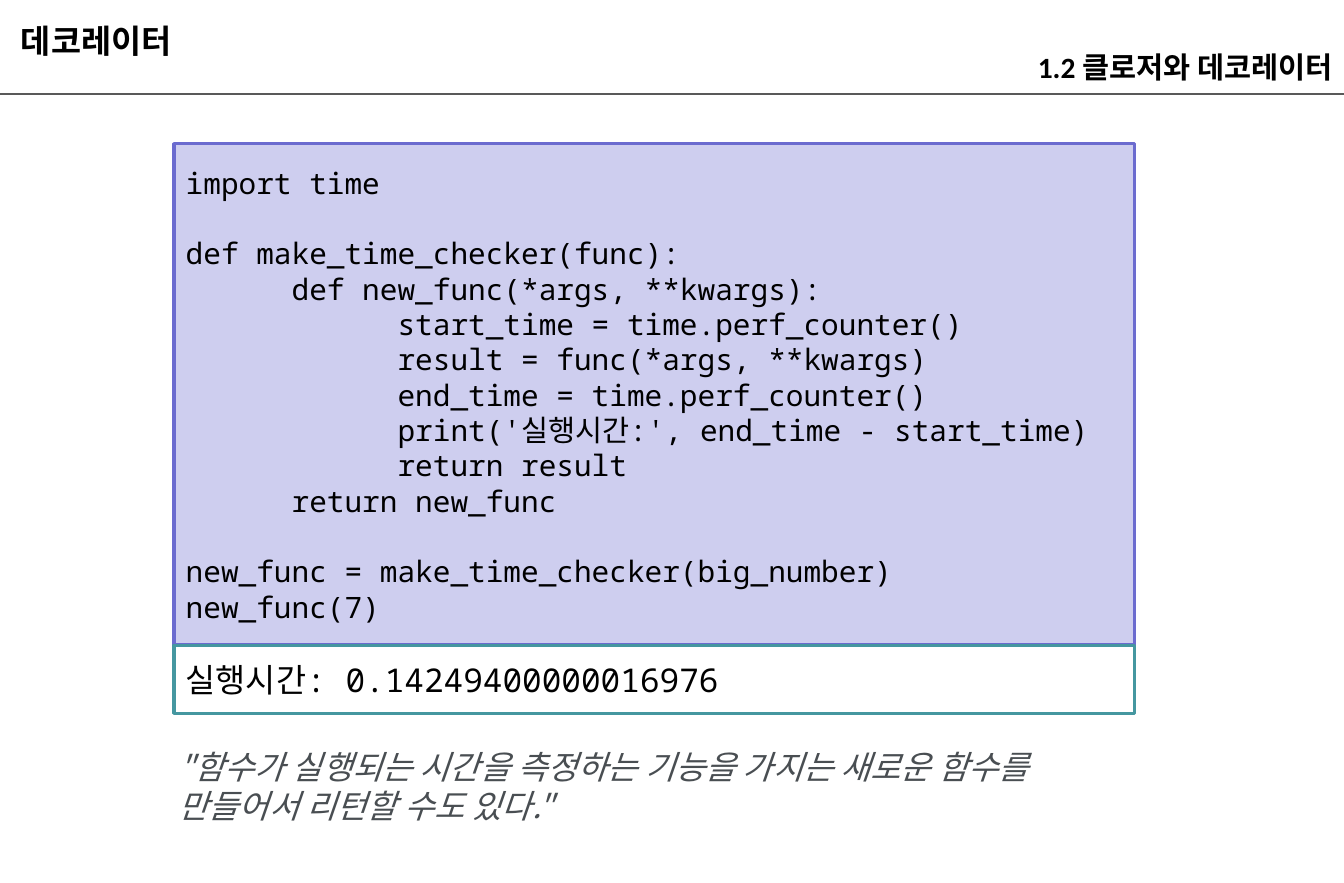
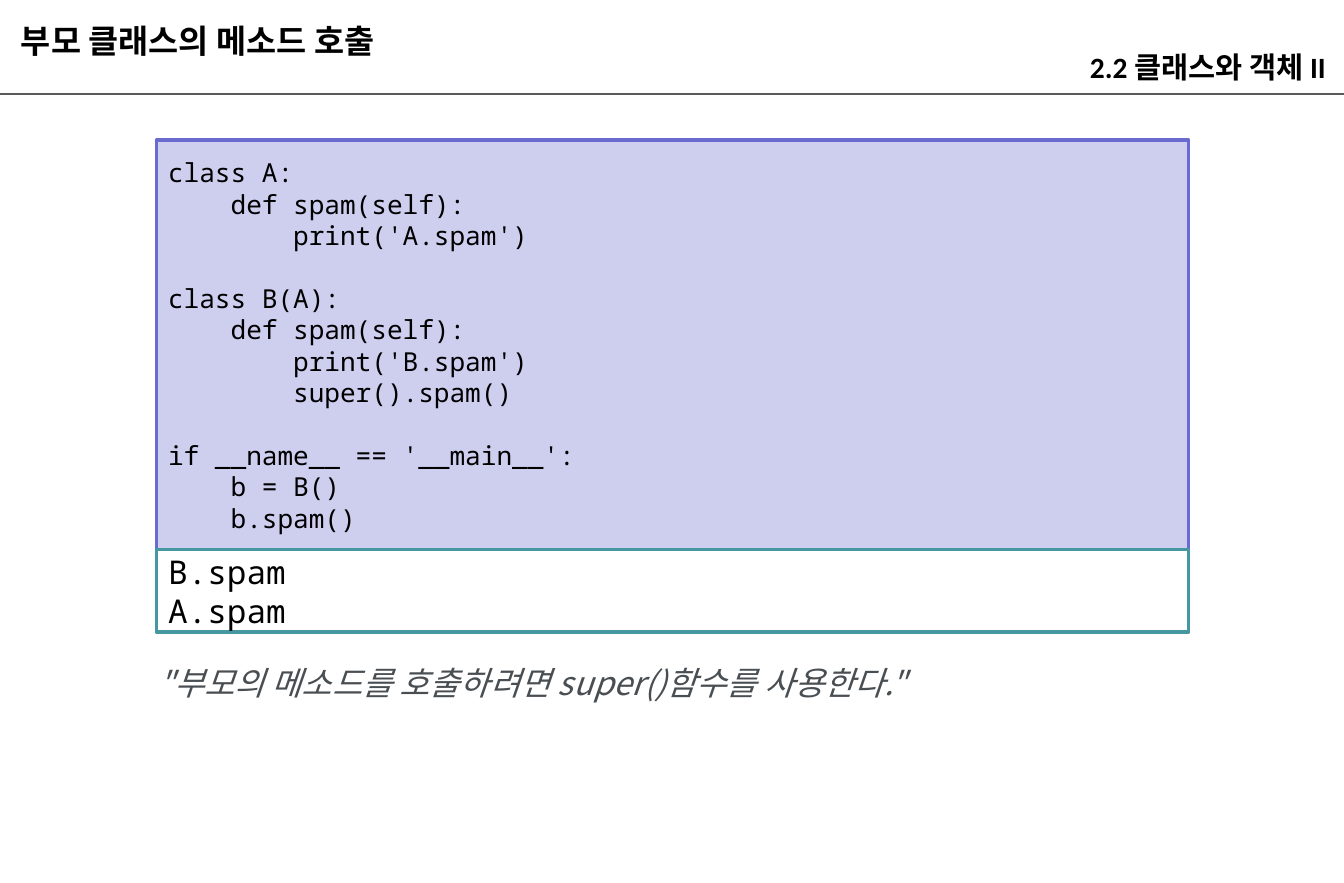
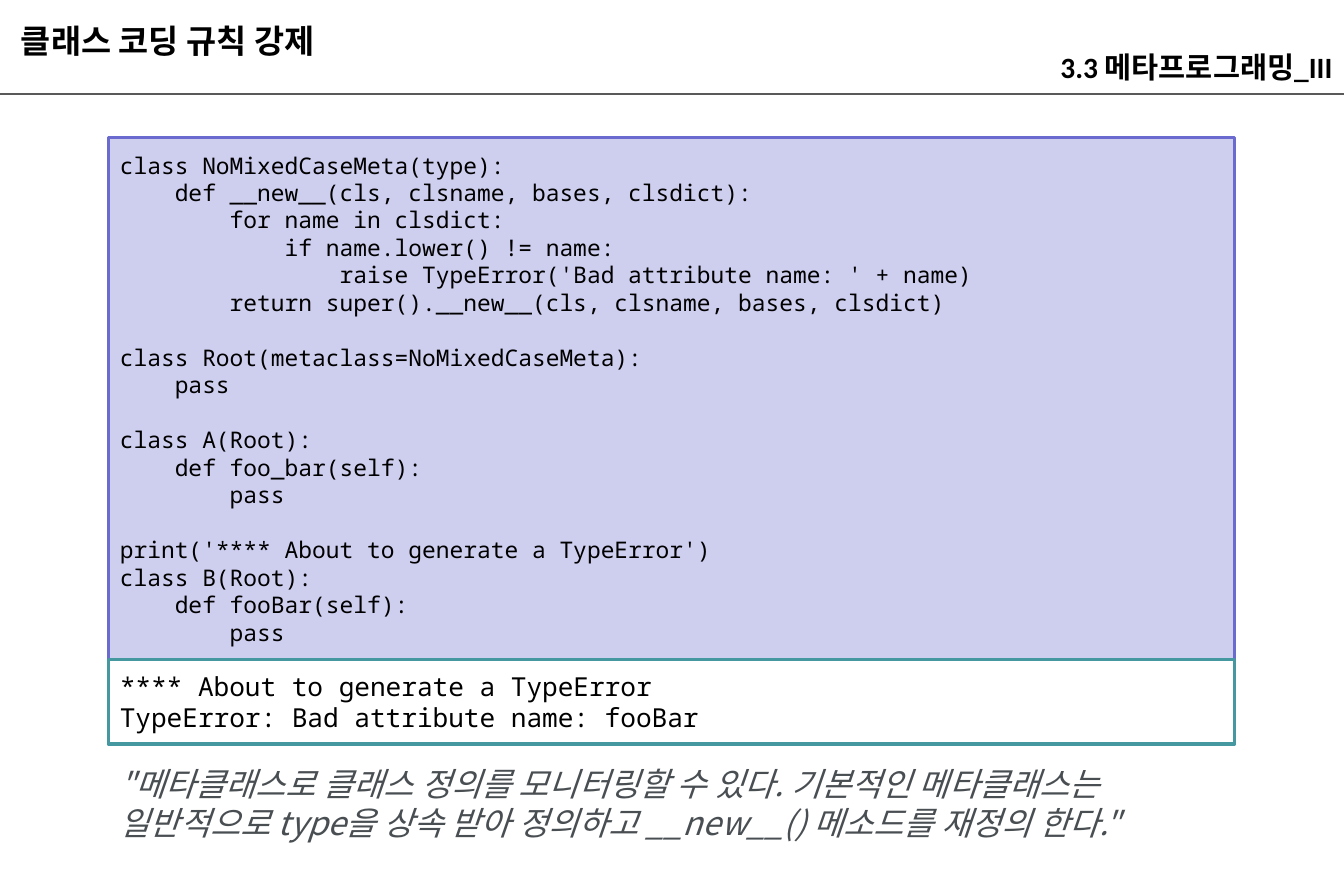
"""Build three lesson pages, each with a code listing, its output and a remark."""
from lxml.etree import SubElement
from pptx import Presentation
from pptx.dml.color import RGBColor
from pptx.enum.shapes import MSO_CONNECTOR, MSO_SHAPE
from pptx.enum.text import MSO_ANCHOR, PP_ALIGN
from pptx.oxml.ns import qn
from pptx.util import Inches, Pt

CELL = Inches(0.1)
COLUMNS, ROWS = 114.2, 75
COLORS = {
    "ink": "000000",
    "rule": "595959",
    "remark": "494E52",
    "code_fill": "CECEEF",
    "code_line": "6B6BCF",
    "output_fill": "FFFFFF",
    "output_line": "4597A0",
}
FONTS = {
    "heading": {"name": "Calibri", "bold": True},
    "code": {"name": "Noto Sans Mono"},
    "remark": {"name": "Noto Sans CJK KR", "italic": True},
}
HEADING_FRAME = {
    "vertical_anchor": MSO_ANCHOR.BOTTOM,
    "margin_top": Inches(0.02),
    "margin_bottom": Inches(0.02),
}
PANEL_FRAME = {"vertical_anchor": MSO_ANCHOR.MIDDLE}

LESSONS = [
    {
        "title": "데코레이터",
        "chapter": "1.2 클로저와 데코레이터",
        "panel": (14.8, 12.2, 81.6),
        "code_rows": 42.6,
        "code_size": 18,
        "code": """import time

def make_time_checker(func):
      def new_func(*args, **kwargs):
            start_time = time.perf_counter()
            result = func(*args, **kwargs)
            end_time = time.perf_counter()
            print('실행시간:', end_time - start_time)
            return result
      return new_func

new_func = make_time_checker(big_number)
new_func(7)""",
        "output_rows": 5.8,
        "output_size": 20,
        "output": "실행시간: 0.14249400000016976",
        "remark_area": (14.2, 62.9, 82.2, 7.7),
        "remark": '"함수가 실행되는 시간을 측정하는 기능을 가지는 새로운 함수를 '
                  '만들어서 리턴할 수도 있다."',
    },
    {
        "title": "부모 클래스의 메소드 호출",
        "chapter": "2.2 클래스와 객체 II ",
        "panel": (13.3, 11.9, 87.7),
        "code_rows": 34.8,
        "code_size": 16,
        "code": """class A:
    def spam(self):
        print('A.spam')

class B(A):
    def spam(self):
        print('B.spam')
        super().spam()

if __name__ == '__main__':
    b = B()
    b.spam()""",
        "output_rows": 7,
        "output_size": 20,
        "output": "B.spam\nA.spam",
        "remark_area": (12.5, 55.8, 82.2, 4.4),
        "remark": '"부모의 메소드를 호출하려면 super()함수를 사용한다."',
    },
    {
        "title": "클래스 코딩 규칙 강제",
        "chapter": "3.3 메타프로그래밍_III",
        "panel": (9.2, 11.7, 95.7),
        "code_rows": 44.3,
        "code_size": 14,
        "code": """class NoMixedCaseMeta(type):
    def __new__(cls, clsname, bases, clsdict):
        for name in clsdict:
            if name.lower() != name:
                raise TypeError('Bad attribute name: ' + name)
        return super().__new__(cls, clsname, bases, clsdict)

class Root(metaclass=NoMixedCaseMeta):
    pass

class A(Root):
    def foo_bar(self):
        pass

print('**** About to generate a TypeError')
class B(Root):
    def fooBar(self):
        pass""",
        "output_rows": 7.2,
        "output_size": 16,
        "output": "**** About to generate a TypeError\n"
                  "TypeError: Bad attribute name: fooBar",
        "remark_area": (9.2, 64.4, 97, 7.7),
        "remark": '"메타클래스로 클래스 정의를 모니터링할 수 있다. 기본적인 메타클래스는 '
                  '일반적으로 type을 상속 받아 정의하고 __new__() 메소드를 재정의 한다."',
    },
]


def cells(*counts):
    """Turn counts of grid cells into lengths."""
    return [round(count * CELL) for count in counts]


def color(name):
    """Look up a palette colour."""
    return RGBColor.from_string(COLORS[name])


def apply_format(target, values):
    """Set each named attribute of the target."""
    for name, value in values.items():
        setattr(target, name, value)


def write(box, text, font, size, ink="ink", frame=None, align=PP_ALIGN.LEFT):
    """Write one paragraph per line of text into a box."""
    content = box.text_frame
    apply_format(content, {"word_wrap": True, **(frame or {})})
    for index, line in enumerate(text.split("\n")):
        para = content.add_paragraph() if index else content.paragraphs[0]
        para.alignment = align
        if line:
            span = para.add_run()
            span.text = line
            apply_format(span.font, {"size": Pt(size), **FONTS[font]})
            span.font.color.rgb = color(ink)
        else:
            end = SubElement(para._p, qn("a:endParaRPr"), sz=str(size * 100))
            SubElement(end, qn("a:latin"), typeface=FONTS[font]["name"])


def add_text(page, area, text, font, size, **options):
    """Add a text box on the grid."""
    write(page.shapes.add_textbox(*cells(*area)), text, font, size, **options)


def add_panel(page, area, kind, text, size):
    """Add a bordered panel of monospaced text."""
    box = page.shapes.add_shape(MSO_SHAPE.RECTANGLE, *cells(*area))
    box.shadow.inherit = False
    box.fill.solid()
    box.fill.fore_color.rgb = color(kind + "_fill")
    box.line.color.rgb = color(kind + "_line")
    box.line.width = Pt(2)
    write(box, text, "code", size, frame=PANEL_FRAME)


def add_header(page, title, chapter):
    """Add the rule, the title and the chapter name."""
    rule = page.shapes.add_connector(MSO_CONNECTOR.STRAIGHT, *cells(0, 8, COLUMNS, 8))
    rule.line.color.rgb = color("rule")
    rule.line.width = Pt(1.5)
    SubElement(rule._element.spPr, qn("a:effectLst"))
    add_text(page, (0.8, 0.9, 51.1, 4.4), title, "heading", 20, frame=HEADING_FRAME)
    add_text(page, (COLUMNS - 53.1, 3, 53.1, 4.4), chapter, "heading", 18,
             frame=HEADING_FRAME, align=PP_ALIGN.RIGHT)


def add_lesson(deck, lesson):
    """Add one page with its listing, output and remark."""
    page = deck.slides.add_slide(deck.slide_layouts[6])
    add_header(page, lesson["title"], lesson["chapter"])
    left, top, width = lesson["panel"]
    for kind in ("code", "output"):
        height = lesson[kind + "_rows"]
        add_panel(page, (left, top, width, height), kind, lesson[kind], lesson[kind + "_size"])
        top += height
    add_text(page, lesson["remark_area"], lesson["remark"], "remark", 20, ink="remark")


def main():
    """Build and save the deck."""
    deck = Presentation()
    deck.slide_width, deck.slide_height = cells(COLUMNS, ROWS)
    for lesson in LESSONS:
        add_lesson(deck, lesson)
    deck.save("out.pptx")


if __name__ == "__main__":
    main()
